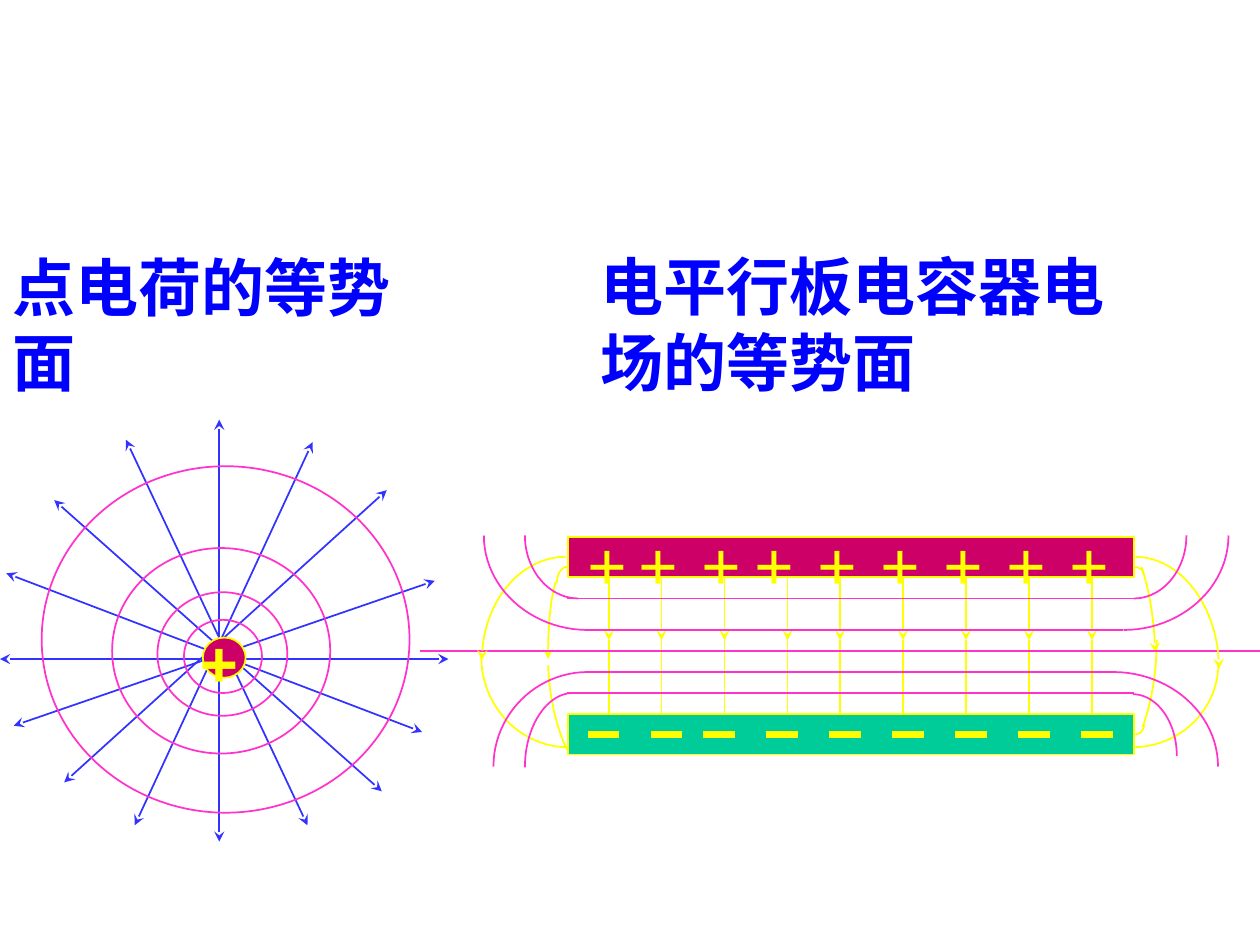
"""Build a slide comparing equipotential surfaces of a point charge and a parallel-plate capacitor."""
from typing import Any, NamedTuple

import pptx
import pptx.dml.color
import pptx.enum.shapes
import pptx.enum.text
import pptx.oxml
import pptx.oxml.ns
import pptx.util

COLORS = {
    "heading": "0000FF",
    "ray": "3333FF",
    "field": "FFFF00",
    "surface": "FF33CC",
    "positive": "CC0066",
    "negative": "00CC99",
}
FONT = "TeX Gyre Bonum"
CURVE_STEPS = 24
QUARTER_CIRCLE = 0.55


class Point(NamedTuple):
    x: float
    y: float


class Box(NamedTuple):
    left: float
    top: float
    width: float
    height: float


class Quarter(NamedTuple):
    rim: Point
    flat: Point
    color: str
    arrow: bool = False


class Curve(NamedTuple):
    points: tuple[Point, Point, Point, Point]
    color: str
    arrow: bool = False


RAYS = [
    (Point(256.3, 376.6), Point(0, 376.6)),
    (Point(241.2, 418.3), Point(3.6, 327.6)),
    (Point(218.2, 452.2), Point(31, 285.8)),
    (Point(178.6, 252.7), Point(77, 471.6)),
    (Point(248.4, 331.9), Point(7.9, 414.7)),
    (Point(36.7, 447.1), Point(221, 280.1)),
    (Point(125.3, 481), Point(125.3, 239.8)),
    (Point(175.7, 471.6), Point(72, 251.3)),
]
POINT_SURFACES = [
    Box(64.1, 313.2, 124.6, 117.4),
    Box(90, 338.4, 74.2, 70.6),
    Box(23.8, 266.4, 210.2, 198),
    Box(105.1, 354.2, 44.6, 41.8),
]
PLUS_LEFTS = [329, 358.6, 394.6, 424.8] + [460.8 + 36 * i for i in range(5)]
MINUS_LEFTS = [336, 372] + [402 + 36 * i for i in range(7)]
FIELD_XS = [348, 378, 414, 450] + [480 + 36 * i for i in range(5)]
FLAT_SURFACES = [(240, 720, 372), (324, 648, 396), (336, 642, 360), (324, 648, 342), (336, 636, 384)]
QUARTERS = [
    Quarter(Point(696.2, 379.4), Point(647.3, 427), "field"),
    Quarter(Point(275, 375.1), Point(324.7, 427), "field"),
    Quarter(Point(696.6, 382.3), Point(648.7, 318.2), "field", True),
    Quarter(Point(275.4, 377.3), Point(323.3, 318.2), "field", True),
    Quarter(Point(318.2, 333.4), Point(324, 324), "field"),
    Quarter(Point(653.8, 329), Point(648, 324), "field"),
    Quarter(Point(653.8, 414), Point(648, 419.8), "field"),
    Quarter(Point(702, 306), Point(642, 360), "surface"),
    Quarter(Point(696, 438), Point(636, 384), "surface"),
    Quarter(Point(282, 438), Point(336, 384), "surface"),
    Quarter(Point(276.5, 306), Point(336, 360), "surface"),
    Quarter(Point(678, 306), Point(648, 342), "surface"),
    Quarter(Point(672.5, 432), Point(647.3, 396.7), "surface"),
    Quarter(Point(300, 438.5), Point(327.6, 396), "surface"),
    Quarter(Point(300, 306), Point(330.5, 342), "surface"),
]
EDGE_CURVES = [
    Curve((Point(661, 365.8), Point(661, 385.2), Point(658.1, 401), Point(653, 415.4)), "field"),
    Curve((Point(324, 428.4), Point(317.5, 414.7), Point(313.9, 397.4), Point(313.2, 380.2)), "field"),
    Curve((Point(652.3, 324), Point(657.4, 339.1), Point(659.5, 355.7), Point(660.2, 373)), "field", True),
    Curve((Point(317.5, 332.6), Point(314.6, 343.4), Point(313.2, 355.7), Point(313.2, 376.6)), "field", True),
]


def rgb(color: str) -> pptx.dml.color.RGBColor:
    return pptx.dml.color.RGBColor.from_string(COLORS[color])


def place(box: Box) -> list[int]:
    return [pptx.util.Pt(length) for length in box]


def style_line(shape: Any, color: str, width: float = 1, ends: tuple[str, ...] = ()) -> None:
    shape.line.color.rgb = rgb(color)
    shape.line.width = pptx.util.Pt(width)
    for end in ends:
        arrowhead = pptx.oxml.parse_xml(f'<a:{end} {pptx.oxml.ns.nsdecls("a")} type="stealth"/>')
        shape.line._get_or_add_ln().append(arrowhead)


def draw_line(slide: Any, start: Point, end: Point, color: str, width: float = 1,
              ends: tuple[str, ...] = ()) -> None:
    connector = slide.shapes.add_connector(
        pptx.enum.shapes.MSO_CONNECTOR.STRAIGHT, *[pptx.util.Pt(value) for value in (*start, *end)])
    style_line(connector, color, width, ends)
    connector._element.spPr.append(pptx.oxml.parse_xml(f'<a:effectLst {pptx.oxml.ns.nsdecls("a")}/>'))


def draw_shape(slide: Any, kind: str, box: Box, line: str, fill: str = "") -> None:
    shape = slide.shapes.add_shape(pptx.enum.shapes.MSO_SHAPE[kind], *place(box))
    shape.shadow.inherit = False
    style_line(shape, line)
    if fill:
        shape.fill.solid()
        shape.fill.fore_color.rgb = rgb(fill)
    else:
        shape.fill.background()


def draw_curve(slide: Any, curve: Curve) -> None:
    vertices = []
    for step in range(CURVE_STEPS + 1):
        t = step / CURVE_STEPS
        weights = ((1 - t) ** 3, 3 * t * (1 - t) ** 2, 3 * t * t * (1 - t), t ** 3)
        vertices.append(tuple(
            pptx.util.Pt(sum(weight * value for weight, value in zip(weights, values)))
            for values in zip(*curve.points)))
    builder = slide.shapes.build_freeform(*vertices[0])
    builder.add_line_segments(vertices[1:], close=False)
    shape = builder.convert_to_shape()
    shape.shadow.inherit = False
    shape.fill.background()
    style_line(shape, curve.color, ends=("tailEnd",) if curve.arrow else ())


def draw_quarter(slide: Any, quarter: Quarter) -> None:
    rim, flat = quarter.rim, quarter.flat
    near_flat = Point(flat.x + QUARTER_CIRCLE * (rim.x - flat.x), flat.y)
    near_rim = Point(rim.x, rim.y + QUARTER_CIRCLE * (flat.y - rim.y))
    draw_curve(slide, Curve((flat, near_flat, near_rim, rim), quarter.color, quarter.arrow))


def write_text(shape: Any, text: str, *, color: str, bold: bool = True, wrap: bool = True) -> None:
    frame = shape.text_frame
    frame.word_wrap = wrap
    frame.auto_size = pptx.enum.text.MSO_AUTO_SIZE.NONE
    frame.vertical_anchor = pptx.enum.text.MSO_ANCHOR.TOP
    paragraph = frame.paragraphs[0]
    paragraph.alignment = pptx.enum.text.PP_ALIGN.LEFT
    run = paragraph.add_run()
    run.text = text
    run.font.name = FONT
    run.font.size = pptx.util.Pt(36)
    run.font.bold = bold
    run.font.color.rgb = rgb(color)


def draw_point_charge(slide: Any) -> None:
    for start, end in RAYS:
        draw_line(slide, start, end, "ray", ends=("headEnd", "tailEnd"))
    draw_shape(slide, "OVAL", Box(115.9, 364.3, 24.5, 23), "field", "positive")
    write_text(slide.shapes.add_textbox(*place(Box(107.3, 349.9, 36, 50.4))), "+", color="field")
    for box in POINT_SURFACES:
        draw_shape(slide, "OVAL", box, "surface")


def draw_capacitor(slide: Any) -> None:
    for top, fill in ((408.2, "negative"), (306.7, "positive")):
        draw_shape(slide, "RECTANGLE", Box(324.7, top, 323.3, 23), "field", fill)
    for left in PLUS_LEFTS:
        plus = slide.shapes.add_textbox(*place(Box(left, 293.8, 36, 50.4)))
        write_text(plus, "+", color="field", bold=False, wrap=False)
    for left in MINUS_LEFTS:
        draw_line(slide, Point(left, 420), Point(left + 18, 420), "field", 4)
    for x in FIELD_XS:
        draw_line(slide, Point(x, 330), Point(x, 366), "field", ends=("tailEnd",))
        draw_line(slide, Point(x, 366), Point(x, 408), "field")
    for curve in EDGE_CURVES:
        draw_curve(slide, curve)
    for left, right, y in FLAT_SURFACES:
        draw_line(slide, Point(left, y), Point(right, y), "surface")
    for quarter in QUARTERS:
        draw_quarter(slide, quarter)


def main() -> None:
    presentation = pptx.Presentation()
    presentation.slide_width, presentation.slide_height = pptx.util.Pt(720), pptx.util.Pt(540)
    slide = presentation.slides.add_slide(presentation.slide_layouts.get_by_name("Title Only"))
    title = slide.shapes.title
    title.left, title.top, title.width, title.height = place(Box(0, 138.2, 266.4, 50.4))
    write_text(title, "点电荷的等势面", color="heading", wrap=False)
    draw_point_charge(slide)
    heading = slide.shapes.add_textbox(*place(Box(336.2, 138.2, 318.2, 93.6)))
    write_text(heading, "电平行板电容器电场的等势面", color="heading")
    draw_capacitor(slide)
    presentation.save("out.pptx")


if __name__ == "__main__":
    main()
